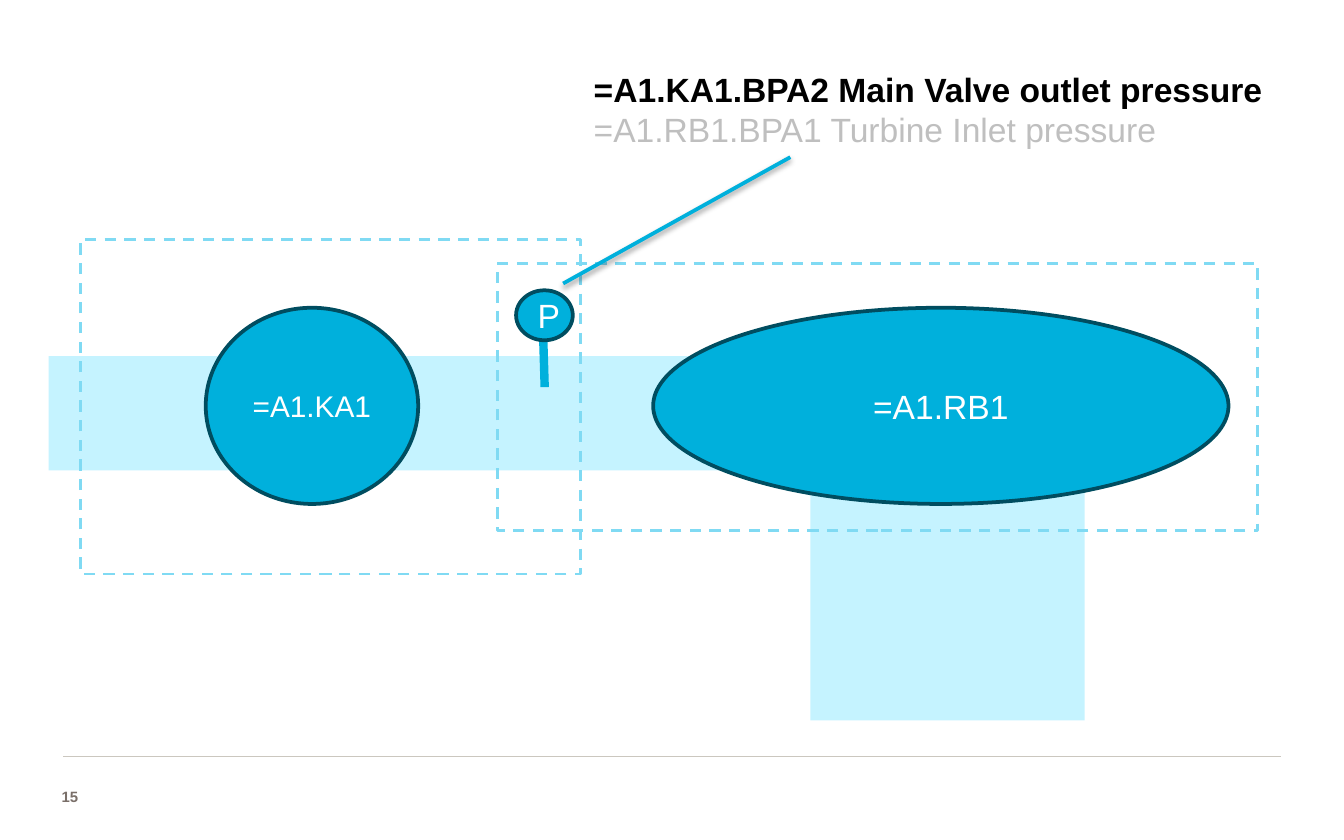
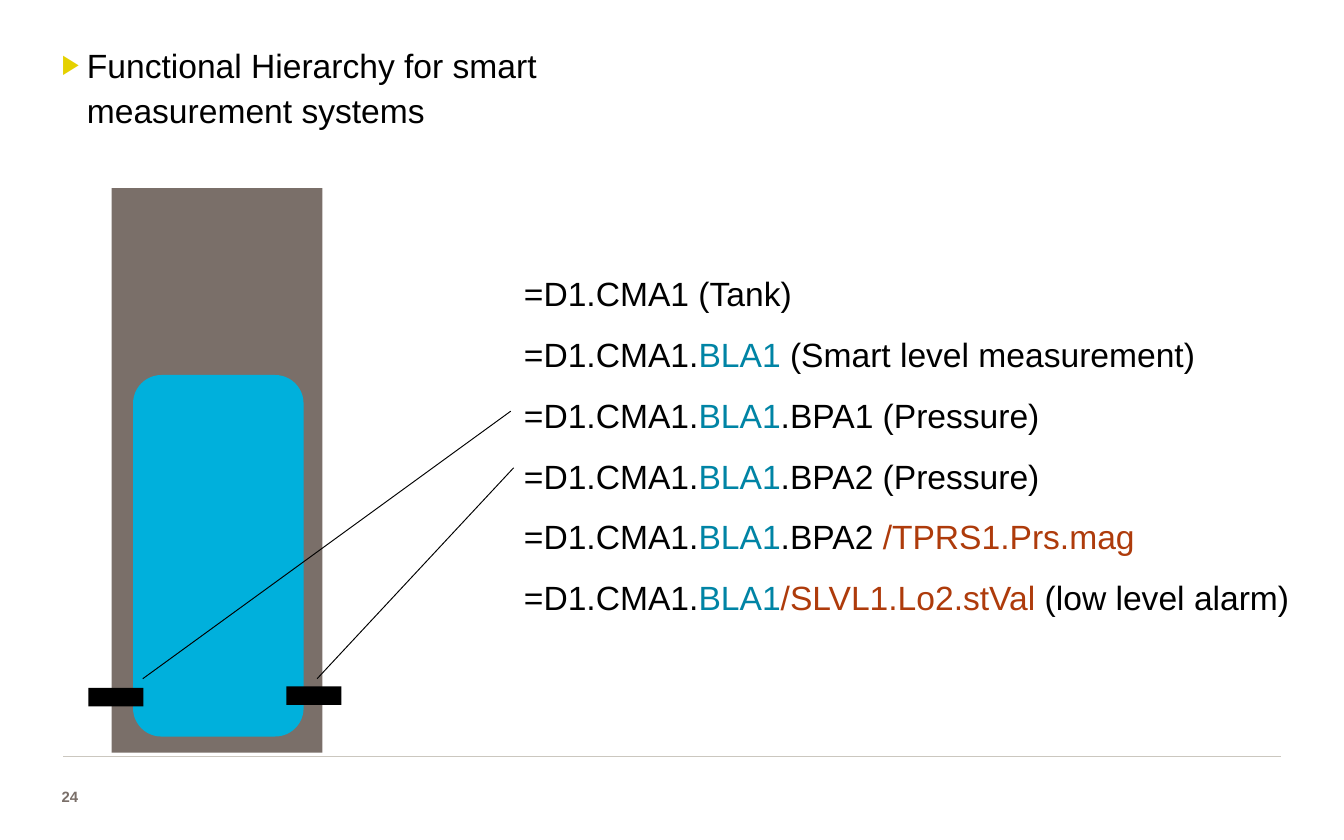
from lxml.etree import SubElement
from pptx import Presentation
from pptx.dml.color import RGBColor
from pptx.enum.dml import MSO_LINE
from pptx.enum.shapes import MSO_CONNECTOR, MSO_SHAPE
from pptx.enum.text import MSO_ANCHOR, MSO_AUTO_SIZE, PP_ALIGN
from pptx.oxml.ns import qn
from pptx.util import Pt

COLORS = {
    "black": "000000", "white": "FFFFFF", "faded": "BFBFBF", "rule": "CBC7BF",
    "brown": "7A6F69", "pipe": "C5F3FF", "cyan": "00B0DC", "outline": "004D60",
    "boundary": "80DAF3", "teal": "0084A5", "rust": "AE3B0B", "bullet": "E5D100",
}
FONT = "Arial"
BODY_SIZE = 18
LINE_SPACING = 1.14
SPACE_BEFORE = 8
BULLET_INDENT = 13.5


def rgb(name):
    return RGBColor.from_string(COLORS[name])


class Deck:
    def __init__(self):
        self.presentation = Presentation()
        self.presentation.slide_width = Pt(720)
        self.presentation.slide_height = Pt(450)
        self.slide = None

    def add_slide(self, number):
        """Start a blank slide with the footer rule and page number."""
        self.slide = self.presentation.slides.add_slide(self.presentation.slide_layouts[6])
        self.line((34, 405.4), (686, 405.4), "rule", 0.5)
        self.text((26, 414.7, 31, 23.8), [[(number, "brown", True)]], size=8,
                  anchor=MSO_ANCHOR.MIDDLE, grow=False)

    def add_runs(self, paragraph, runs, size):
        for text, color, bold in runs:
            run = paragraph.add_run()
            run.text = text
            run.font.name = FONT
            run.font.size = Pt(size)
            run.font.bold = bold
            run.font.color.rgb = rgb(color)

    def add_bullet(self, paragraph):
        properties = paragraph._p.get_or_add_pPr()
        properties.set("marL", str(Pt(BULLET_INDENT)))
        properties.set("indent", str(-Pt(BULLET_INDENT)))
        color = SubElement(properties, qn("a:buClr"))
        SubElement(color, qn("a:srgbClr"), val=COLORS["bullet"])
        SubElement(properties, qn("a:buSzPct"), val="80000")
        SubElement(properties, qn("a:buFont"), typeface=FONT)
        SubElement(properties, qn("a:buChar"), char="▶")

    def text(self, box, paragraphs, size=BODY_SIZE, anchor=MSO_ANCHOR.TOP,
             grow=True, wrap=True, spaced=False, bullet=False):
        frame = self.slide.shapes.add_textbox(*map(Pt, box)).text_frame
        frame.word_wrap = wrap
        frame.vertical_anchor = anchor
        frame.auto_size = MSO_AUTO_SIZE.SHAPE_TO_FIT_TEXT if grow else MSO_AUTO_SIZE.NONE
        for index, runs in enumerate(paragraphs):
            paragraph = frame.add_paragraph() if index else frame.paragraphs[0]
            if bullet:
                self.add_bullet(paragraph)
            if spaced:
                paragraph.line_spacing = LINE_SPACING
                paragraph.space_before = Pt(SPACE_BEFORE if index else 0)
            self.add_runs(paragraph, runs, size)

    def shape(self, kind, box, fill=None):
        shape = self.slide.shapes.add_shape(kind, *map(Pt, box))
        shape.shadow.inherit = False
        if fill:
            shape.fill.solid()
            shape.fill.fore_color.rgb = rgb(fill)
        else:
            shape.fill.background()
        shape.line.fill.background()
        return shape

    def rectangle(self, box, fill):
        self.shape(MSO_SHAPE.RECTANGLE, box, fill)

    def boundary(self, box):
        shape = self.shape(MSO_SHAPE.RECTANGLE, box)
        shape.line.color.rgb = rgb("boundary")
        shape.line.width = Pt(1.5)
        shape.line.dash_style = MSO_LINE.DASH

    def component(self, box, label, size=BODY_SIZE):
        shape = self.shape(MSO_SHAPE.OVAL, box, "cyan")
        shape.line.color.rgb = rgb("outline")
        shape.line.width = Pt(2)
        shape.text_frame.vertical_anchor = MSO_ANCHOR.MIDDLE
        paragraph = shape.text_frame.paragraphs[0]
        paragraph.alignment = PP_ALIGN.CENTER
        self.add_runs(paragraph, [(label, "white", False)], size)

    def line(self, start, end, color, width, shadow=False):
        connector = self.slide.shapes.add_connector(
            MSO_CONNECTOR.STRAIGHT, *map(Pt, start + end))
        connector.line.color.rgb = rgb(color)
        connector.line.width = Pt(width)
        effects = SubElement(connector._element.spPr, qn("a:effectLst"))
        if shadow:
            outer = SubElement(effects, qn("a:outerShdw"), blurRad=str(Pt(3.1)),
                               dist=str(Pt(1.6)), dir="5400000", rotWithShape="0")
            tint = SubElement(outer, qn("a:srgbClr"), val=COLORS["black"])
            SubElement(tint, qn("a:alpha"), val="38000")


def build_pressure_slide(deck):
    deck.add_slide("15")
    deck.rectangle((434.2, 212.4, 146.9, 173.5), "pipe")
    deck.rectangle((26, 190.8, 442, 61.2), "pipe")
    deck.component((110.2, 164.9, 113.8, 105.1), "=A1.KA1", 16)
    deck.component((349.9, 164.9, 308.2, 105.1), "=A1.RB1")
    deck.line((290.9, 177.1), (291.8, 207.4), "cyan", 4.5)
    deck.component((276.5, 155.5, 30.4, 26.8), "P")
    deck.boundary((43.2, 128.2, 267.8, 179.3))
    deck.boundary((266.4, 141.1, 407.5, 143.3))
    deck.text((311, 33.1, 406.8, 51.1), [
        [("=A1.KA1.BPA2 Main Valve outlet pressure", "black", True)],
        [("=A1.RB1.BPA1 Turbine Inlet pressure", "faded", False)],
    ])
    deck.line((423.4, 84.2), (301.7, 151.9), "cyan", 2, shadow=True)


def build_tank_slide(deck):
    deck.add_slide("24")
    deck.rectangle((59.8, 100.8, 113, 302.4), "brown")
    deck.shape(MSO_SHAPE.ROUNDED_RECTANGLE, (71.3, 200.9, 91.4, 193.7), "cyan")

    tank = ("=D1.CMA1.", "black", False)
    level = ("BLA1", "teal", False)
    endings = [
        [(" (Smart level measurement)", "black", False)],
        [(".BPA1 (Pressure)", "black", False)],
        [(".BPA2 (Pressure)", "black", False)],
        [(".BPA2 ", "black", False), ("/TPRS1.Prs.mag", "rust", False)],
        [("/SLVL1.Lo2.stVal ", "rust", False), ("(low level alarm)", "black", False)],
    ]
    designations = [[("=D1.CMA1 (Tank)", "black", False)]]
    designations += [[tank, level] + ending for ending in endings]
    deck.text((273.6, 139.7, 428.4, 221.8), designations, wrap=False, spaced=True)

    for left, top in ((153.4, 367.7), (47.3, 368.5)):
        deck.rectangle((left, top, 29.5, 9.9), "black")
    for label_end, sensor_end in (((273.6, 220.3), (76.5, 363.6)),
                                  ((275.2, 250.6), (169.9, 363.6))):
        deck.line(label_end, sensor_end, "black", 0.5)
    deck.text((26, 17.3, 330.5, 53.3),
              [[("Functional Hierarchy for smart measurement systems", "black", False)]],
              spaced=True, bullet=True)


def main():
    deck = Deck()
    build_pressure_slide(deck)
    build_tank_slide(deck)
    deck.presentation.save("out.pptx")


if __name__ == "__main__":
    main()
